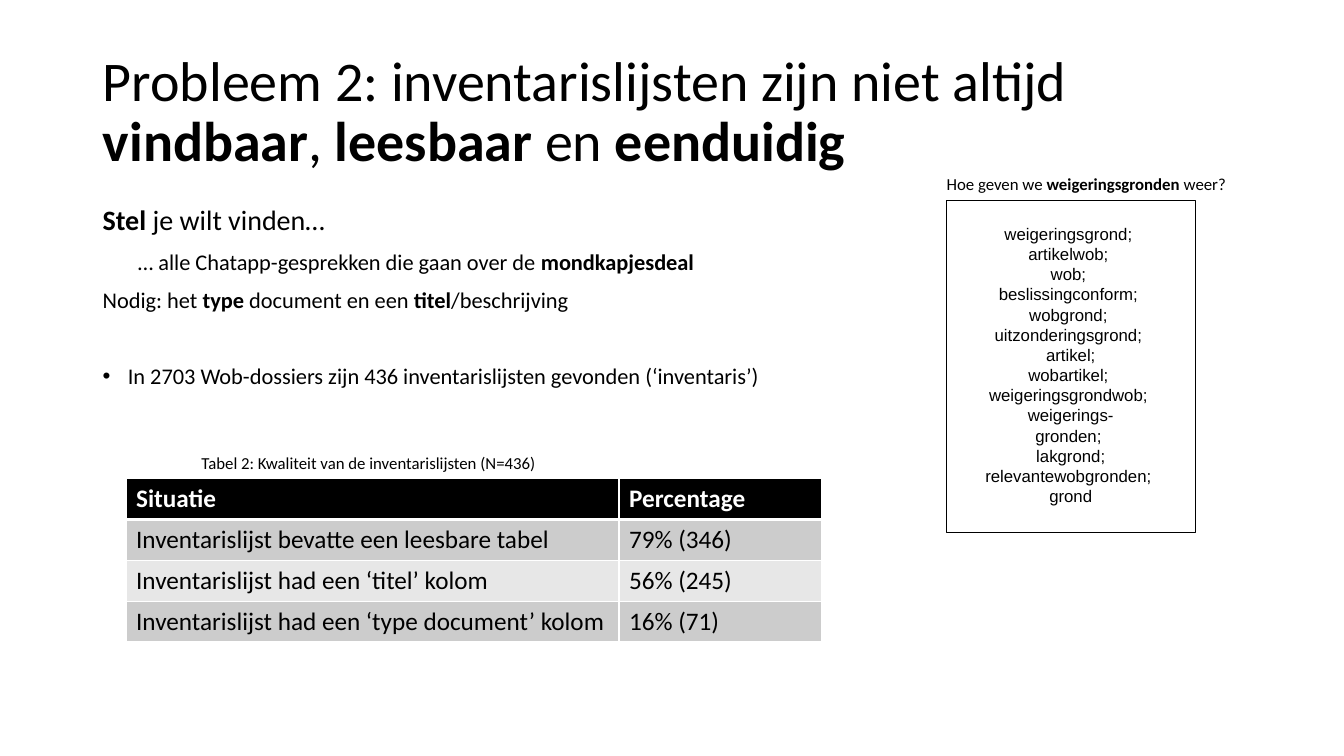
from pptx import Presentation
from pptx.dml.color import RGBColor
from pptx.enum.shapes import MSO_SHAPE
from pptx.enum.text import MSO_ANCHOR, MSO_AUTO_SIZE, PP_ALIGN
from pptx.oxml import parse_xml
from pptx.oxml.ns import nsdecls
from pptx.util import Inches, Pt

BLACK = RGBColor(0, 0, 0)
WHITE = RGBColor(255, 255, 255)
DARK = RGBColor(0xCC, 0xCC, 0xCC)
LIGHT = RGBColor(0xE7, 0xE7, 0xE7)


def write(para, text, size, font="Calibri", color=BLACK):
    """Fill a paragraph; parts between asterisks are bold."""
    for i, part in enumerate(text.split("*")):
        if part:
            run = para.add_run()
            run.text = part
            run.font.name = font
            run.font.size = Pt(size)
            run.font.bold = i % 2 == 1
            run.font.color.rgb = color


def add_box(left, top, width, height, wrap=True):
    box = slide.shapes.add_textbox(Inches(left), Inches(top), Inches(width), Inches(height))
    box.text_frame.word_wrap = wrap
    return box.text_frame


prs = Presentation()
prs.slide_width, prs.slide_height = Inches(13.33), Inches(7.5)
slide = prs.slides.add_slide(prs.slide_layouts[5])

# Frame around the column names
frame = slide.shapes.add_shape(MSO_SHAPE.RECTANGLE, Inches(9.39), Inches(1.99),
                               Inches(2.47), Inches(3.29))
frame.shadow.inherit = False
frame.fill.solid()
frame.fill.fore_color.rgb = WHITE
frame.line.color.rgb = BLACK
frame.line.width = Pt(1)

# Title
title = slide.shapes.title
title.left, title.top = Inches(0.92), Inches(0.4)
title.width, title.height = Inches(11.5), Inches(1.45)
title.text_frame.auto_size = MSO_AUTO_SIZE.NONE
title.text_frame.vertical_anchor = MSO_ANCHOR.MIDDLE
head = title.text_frame.paragraphs[0]
head.alignment = PP_ALIGN.LEFT
head.line_spacing = 0.9
write(head, "Probleem 2: inventarislijsten zijn niet altijd "
            "*vindbaar*, *leesbaar* en *eenduidig*", 40)

# Body: text, size, space before, left margin, first-line indent
lines = [
    ("*Stel* je wilt vinden…", 20, 10, 0, 0),
    ("… alle Chatapp-gesprekken die gaan over de *mondkapjesdeal*", 16, 10, 0.35, 0),
    ("Nodig: het *type* document en een *titel*/beschrijving", 16, 10, 0, 0),
    ("In 2703 Wob-dossiers zijn 436 inventarislijsten gevonden (‘inventaris’)",
     16, 37, 0.25, -0.25),
]
body = add_box(0.92, 2, 11.5, 4.76)
for i, (text, size, space, left, indent) in enumerate(lines):
    para = body.add_paragraph() if i else body.paragraphs[0]
    para.line_spacing = 0.9
    para.space_before = Pt(space)
    write(para, text, size)
    props = para._p.get_or_add_pPr()
    props.set("marL", str(Inches(left)))
    props.set("indent", str(Inches(indent)))
    if indent:
        props.append(parse_xml(f'<a:buFont {nsdecls("a")} typeface="Arial"/>'))
        props.append(parse_xml(f'<a:buChar {nsdecls("a")} char="•"/>'))

# Table
rows = [
    ("Situatie", "Percentage"),
    ("Inventarislijst bevatte een leesbare tabel", "79% (346)"),
    ("Inventarislijst had een ‘titel’ kolom", "56% (245)"),
    ("Inventarislijst had een ‘type document’ kolom", "16% (71)"),
]
table = slide.shapes.add_table(4, 2, Inches(1.25), Inches(4.75),
                               Inches(6.9), Inches(1.62)).table
table.columns[0].width, table.columns[1].width = Inches(4.89), Inches(2.01)
for r, row in enumerate(rows):
    for c, text in enumerate(row):
        cell = table.cell(r, c)
        cell.fill.solid()
        cell.fill.fore_color.rgb = (DARK if r % 2 else LIGHT) if r else BLACK
        write(cell.text_frame.paragraphs[0], text if r else f"*{text}*", 18,
              color=BLACK if r else WHITE)
        # White borders, thicker between header and rows
        for i, side in enumerate("LRTB"):
            thick = (r, side) in ((0, "B"), (1, "T"))
            cell._tc.get_or_add_tcPr().insert(i, parse_xml(
                f'<a:ln{side} {nsdecls("a")} w="{Pt(3 if thick else 1)}"><a:solidFill>'
                f'<a:srgbClr val="{WHITE}"/></a:solidFill></a:ln{side}>'))

# Captions
for text, left, top, width in [
    ("Tabel 2: Kwaliteit van de inventarislijsten (N=436)", 1.9, 4.44, 3.55),
    ("Hoe geven we *weigeringsgronden* weer?", 9.29, 1.67, 3.01),
]:
    write(add_box(left, top, width, 0.3, wrap=False).paragraphs[0], text, 12)

# Column names
names = ["weigeringsgrond; ", "artikelwob; ", "wob; ", "beslissingconform; ",
         "wobgrond; ", "uitzonderingsgrond; ", "artikel;", "wobartikel; ",
         "weigeringsgrondwob; ", "weigerings-", "gronden; ", "lakgrond;",
         "relevantewobgronden; ", "grond"]
column = add_box(8.48, 2.17, 4.28, 2.93)
for i, name in enumerate(names):
    para = column.add_paragraph() if i else column.paragraphs[0]
    para.alignment = PP_ALIGN.CENTER
    write(para, name, 12, "Arial")

prs.save("out.pptx")
